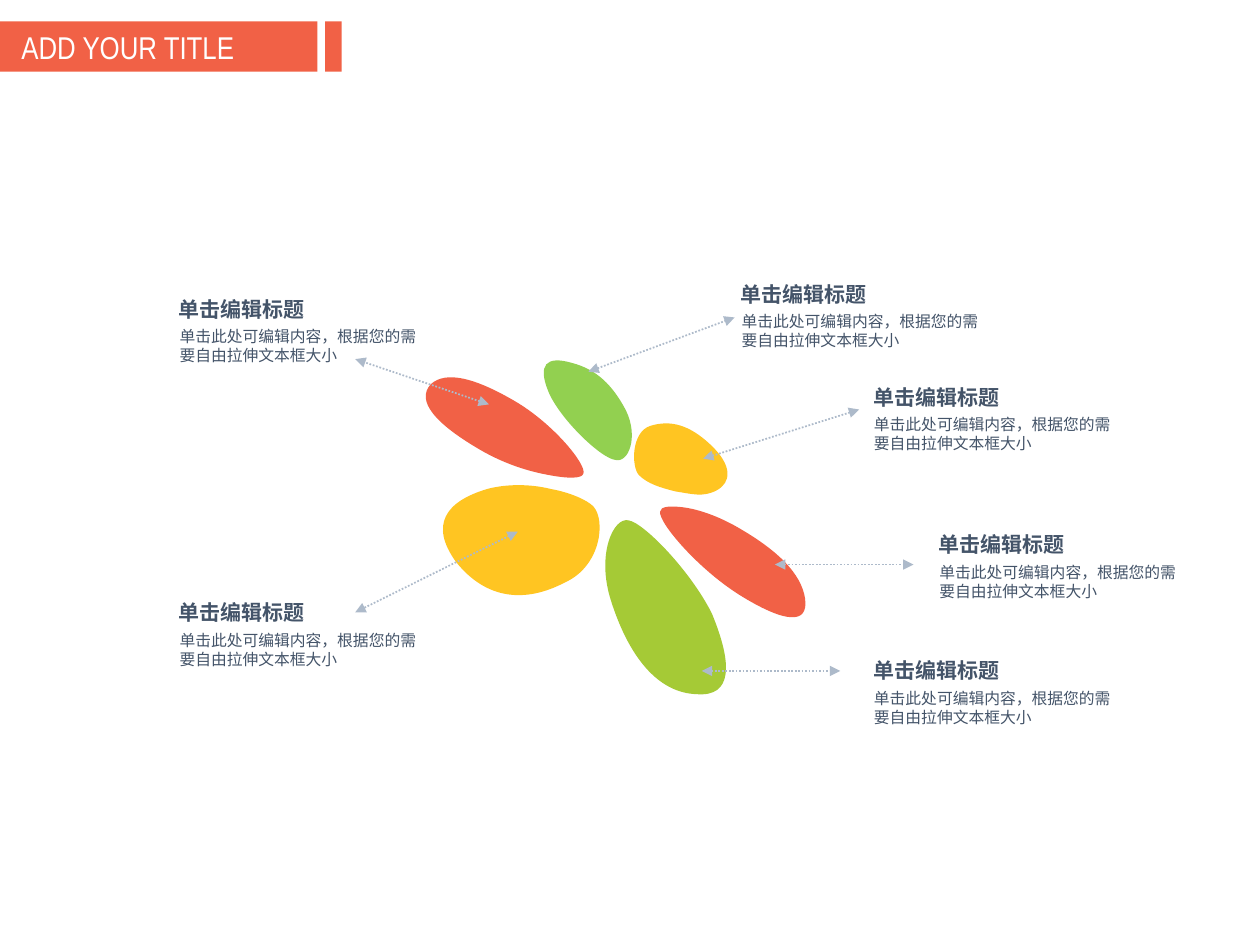
"""Builds a six-petal diagram with a labelled arrow for each petal."""
from lxml import etree
from pptx import Presentation
from pptx.dml.color import RGBColor
from pptx.enum import dml, shapes, text
from pptx.oxml.ns import qn
from pptx.util import Pt

TITLE = "ADD YOUR TITLE"
HEADING = "单击编辑标题"
BODY = "单击此处可编辑内容，根据您的需要自由拉伸文本框大小"
RED, LIME, GREEN, YELLOW = "F16146", "A5CA36", "92D050", "FFC522"
WHITE, SLATE, MIST = "FFFFFF", "445469", "ADBACA"

BARS = [(0, 181.4), (185.8, 9.4)]
BAR_TOP, BAR_HEIGHT = 12.2, 28.8

PETALS = [
    dict(fill=LIME, arrow=(401, 383.4, 480.2, 383.4), label=(499, 375.8), outline=[
        (359.3, 297.4), (350.6, 295.2), (340.6, 316.8), (349.2, 343.4),
        (359.3, 375.1), (375.8, 396), (398.2, 396.7),
        (418.3, 398.2), (419, 380.2), (406.8, 350.6),
        (394.6, 326.2), (367.9, 298.8), (359.3, 297.4)]),
    dict(fill=RED, arrow=(442.8, 322.6, 522, 322.6), label=(536.4, 303.8), outline=[
        (377.3, 292.3), (375.8, 298.1), (399.6, 326.2), (424.8, 341.3),
        (448.6, 355.7), (462.2, 357.1), (460.1, 342),
        (457.9, 327.6), (444.2, 314.6), (423.4, 302.4),
        (412.6, 295.9), (401, 291.6), (392.4, 290.2),
        (383, 288.7), (377.3, 289.4), (377.3, 292.3)]),
    dict(fill=GREEN, arrow=(336.2, 212.4, 419.8, 181.4), label=(423.4, 160.6), outline=[
        (351.4, 262.8), (359.3, 265), (365, 249.8), (357.8, 234.7),
        (349.9, 219.6), (340.6, 211), (326.9, 207.4),
        (311.8, 203), (307.4, 208.8), (313.2, 223.2),
        (319, 238.3), (342.7, 261.4), (351.4, 262.8)]),
    dict(fill=RED, arrow=(279.4, 231.1, 203, 205.2), label=(102.2, 169.2), outline=[
        (333.4, 270.7), (335.5, 265.7), (316.1, 241.9), (293.8, 229),
        (271.4, 216), (254.9, 211.7), (246.2, 219.6),
        (237.6, 229), (248.4, 241.9), (274.3, 257),
        (288, 265), (301.7, 269.3), (313.2, 271.4),
        (324.7, 273.6), (332.6, 273.6), (333.4, 270.7)]),
    dict(fill=YELLOW, arrow=(401.8, 262.1, 491, 234), label=(499, 219.6), outline=[
        (365, 271.4), (370.1, 276.5), (377.3, 278.6), (385.9, 280.8),
        (395.3, 282.2), (401.8, 284.4), (409.7, 280.1),
        (417.6, 275.8), (419, 266.4), (406.1, 254.2),
        (393.8, 242.6), (383, 239.8), (371.5, 243.4),
        (360.7, 247), (360.7, 266.4), (365, 271.4)]),
    dict(fill=YELLOW, arrow=(295.9, 303.8, 203, 349.9), label=(102.2, 342.7), outline=[
        (339.1, 289.4), (335.5, 285.8), (326.2, 281.5), (314.6, 279.4),
        (303.1, 276.5), (289.4, 276.5), (278.6, 279.4),
        (254.2, 286.6), (245.5, 300.2), (260.6, 321.1),
        (277.9, 342.7), (300.2, 344.9), (323.3, 332.6),
        (343.4, 323.3), (346.3, 297.4), (339.1, 289.4)]),
]


def paint(color, value):
    color.rgb = RGBColor.from_string(value)


def fill_plain(sp, value):
    sp.shadow.inherit = False
    sp.fill.solid()
    paint(sp.fill.fore_color, value)
    sp.line.fill.background()


def write(sp, words, font, size, color, bold=False, before=0, margins=(0, 0)):
    tf = sp.text_frame
    tf.text = words
    tf.word_wrap = True
    tf.auto_size = text.MSO_AUTO_SIZE.SHAPE_TO_FIT_TEXT
    tf.vertical_anchor = text.MSO_ANCHOR.TOP
    tf.margin_left = tf.margin_right = Pt(margins[0])
    tf.margin_top = tf.margin_bottom = Pt(margins[1])
    p = tf.paragraphs[0]
    p.alignment = text.PP_ALIGN.LEFT
    p.space_before = Pt(before)
    p.font.name, p.font.size, p.font.bold = font, Pt(size), bold
    paint(p.font.color, color)


def add_title(s):
    title = s.shapes.title
    title.left, title.top = Pt(5), Pt(BAR_TOP)
    title.width, title.height = Pt(171.4), Pt(BAR_HEIGHT)
    write(title, TITLE, "Arial Narrow", 18, WHITE, margins=(7.2, 3.6))
    for left, width in BARS:
        bar = s.shapes.add_shape(shapes.MSO_SHAPE.RECTANGLE,
                                 Pt(left), Pt(BAR_TOP), Pt(width), Pt(BAR_HEIGHT))
        fill_plain(bar, RED)
        title.element.addprevious(bar.element)


def add_petal(s, outline, fill):
    points = [(Pt(x), Pt(y)) for x, y in outline]
    builder = s.shapes.build_freeform(*points[0])
    builder.add_line_segments(points[1:], close=True)
    sp = builder.convert_to_shape()
    fill_plain(sp, fill)
    contour = sp.element.find(".//" + qn("a:path"))
    segments = iter(contour.findall(qn("a:lnTo")))
    for trio in zip(segments, segments, segments):
        curve = etree.Element(qn("a:cubicBezTo"))
        trio[0].addprevious(curve)
        for segment in trio:
            curve.append(segment[0])
            contour.remove(segment)


def add_arrow(s, ends):
    c = s.shapes.add_connector(shapes.MSO_CONNECTOR.STRAIGHT, *map(Pt, ends))
    paint(c.line.color, MIST)
    c.line.width = Pt(1)
    c.line.dash_style = dml.MSO_LINE.ROUND_DOT
    properties = c.element.spPr
    ln = properties.find(qn("a:ln"))
    for end in ("a:headEnd", "a:tailEnd"):
        etree.SubElement(ln, qn(end), type="triangle")
    etree.SubElement(properties, qn("a:effectLst"))


def add_label(s, left, top):
    heading = s.shapes.add_textbox(Pt(left), Pt(top), Pt(75.6), Pt(14.4))
    write(heading, HEADING, "Arial", 12, SLATE, bold=True, before=3)
    body = s.shapes.add_textbox(Pt(left + 0.4), Pt(top + 17.6), Pt(137.5), Pt(21.6))
    write(body, BODY, "Arial", 9, SLATE, before=2.2)


def main():
    prs = Presentation()
    prs.slide_width, prs.slide_height = Pt(720), Pt(540)
    s = prs.slides.add_slide(prs.slide_layouts[5])
    add_title(s)
    for petal in PETALS:
        add_petal(s, petal["outline"], petal["fill"])
    for petal in PETALS:
        add_arrow(s, petal["arrow"])
        add_label(s, *petal["label"])
    prs.save("out.pptx")


if __name__ == "__main__":
    main()
